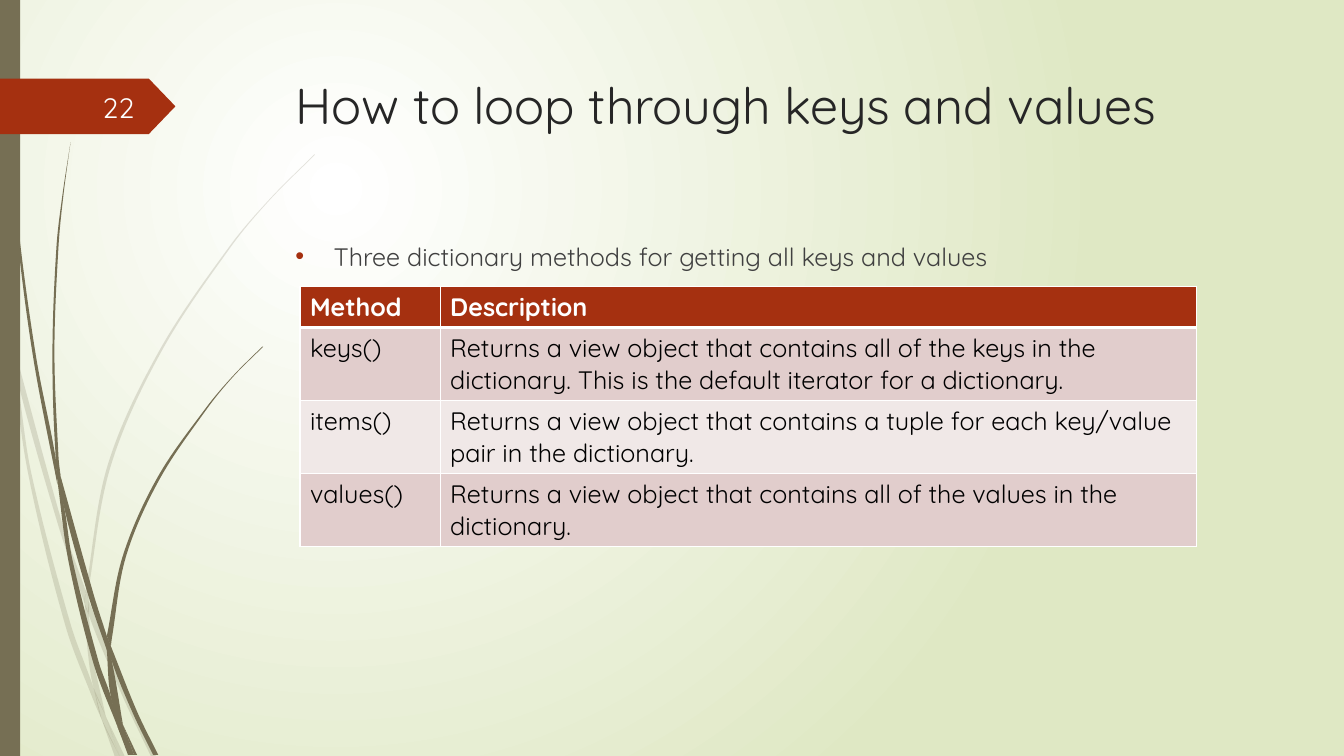
from dataclasses import dataclass
from math import dist

from lxml.etree import SubElement
from pptx import Presentation
from pptx.dml.color import RGBColor
from pptx.enum.shapes import MSO_SHAPE
from pptx.enum.text import MSO_ANCHOR, PP_ALIGN
from pptx.oxml.ns import qn
from pptx.util import Inches, Pt

# Grid of fine square cells; every length below counts columns or rows
CELL = Inches(0.01)
COLUMNS, ROWS = 1333, 750
FONT = "Quicksand"

WHITE = RGBColor(0xFF, 0xFF, 0xFF)
PALE_GREEN = RGBColor(0xDF, 0xE8, 0xC4)
OLIVE = RGBColor(0x76, 0x6F, 0x54)
RUST = RGBColor(0xA5, 0x30, 0x10)
TITLE_GREY = RGBColor(0x26, 0x26, 0x26)
BODY_GREY = RGBColor(0x40, 0x40, 0x40)
NUMBER_WHITE = RGBColor(0xFE, 0xFF, 0xFF)
BLACK = RGBColor(0x00, 0x00, 0x00)
PINK = RGBColor(0xE1, 0xCD, 0xCC)
PALE_PINK = RGBColor(0xF0, 0xE8, 0xE7)

Point = tuple[float, float]


@dataclass(frozen=True)
class Blade:
    """A piece of grass between two smooth edges, both listed from top to bottom."""
    left: list[Point]
    right: list[Point]


@dataclass(frozen=True)
class Label:
    text: str
    box: tuple[int, int, int, int]
    size: int
    color: RGBColor
    align: PP_ALIGN = PP_ALIGN.LEFT
    anchor: MSO_ANCHOR = MSO_ANCHOR.TOP


PALE_BLADES = [
    Blade([(0, 299), (10, 344), (11, 350)], [(0, 282), (9, 322), (11, 350)]),
    Blade([(14, 345), (17, 376), (58, 522), (84, 599)], [(14, 345), (62, 520), (85, 586)]),
    Blade([(88, 596), (88, 610), (123, 694), (150, 751)], [(88, 596), (127, 692), (155, 751)]),
    Blade([(105, 711), (119, 751)], [(105, 711), (124, 751)]),
    Blade([(11, 350), (28, 470), (65, 621), (92, 693), (101, 714)],
          [(11, 350), (17, 376), (31, 469), (70, 619), (93, 683), (101, 714)]),
    Blade([(84, 599), (87, 646), (93, 683), (105, 711)],
          [(84, 599), (88, 610), (91, 646), (105, 711)]),
    Blade([(312, 153), (268, 197), (228, 244), (158, 348), (107, 461), (85, 586)],
          [(312, 154), (268, 198), (229, 245), (160, 349), (110, 462), (88, 584), (88, 596)]),
    Blade([(101, 714), (114, 751)], [(101, 714), (119, 751)]),
    Blade([(85, 586), (84, 599), (88, 610)], [(85, 586), (88, 596), (88, 610)]),
    Blade([(93, 683), (101, 714), (119, 751)], [(93, 683), (105, 711), (119, 751)]),
]
DARK_BLADES = [
    Blade([(3, 0), (7, 110), (17, 233), (33, 355), (57, 481)],
          [(4, 0), (8, 109), (19, 232), (36, 355), (55, 453), (57, 481)]),
    Blade([(60, 472), (64, 505), (88, 592), (106, 645)], [(60, 472), (93, 590), (106, 631)]),
    Blade([(110, 641), (111, 656), (132, 708), (152, 749)],
          [(110, 641), (136, 706), (157, 749)]),
    Blade([(57, 477), (68, 557), (93, 659), (117, 722)],
          [(57, 477), (64, 505), (72, 556), (98, 657), (110, 691), (117, 722)]),
    Blade([(70, 141), (62, 193), (56, 245), (52, 349), (55, 449), (60, 472)],
          [(70, 141), (63, 193), (58, 245), (54, 349), (58, 453), (60, 472)]),
    Blade([(122, 719), (133, 749)], [(122, 719), (136, 749)]),
    Blade([(55, 449), (57, 477), (64, 505)], [(55, 449), (60, 472), (64, 505)]),
    Blade([(260, 344), (231, 373), (204, 405), (156, 474), (122, 551), (106, 631)],
          [(261, 344), (231, 374), (205, 406), (158, 476), (125, 552), (111, 633), (110, 641)]),
    Blade([(117, 722), (127, 749)], [(117, 722), (131, 749)]),
    Blade([(106, 645), (110, 691), (122, 719)], [(106, 645), (111, 656), (122, 719)]),
    Blade([(106, 631), (106, 645), (111, 656)], [(106, 631), (110, 641), (111, 656)]),
    Blade([(110, 691), (117, 722), (130, 749)], [(110, 691), (122, 719), (133, 749)]),
]

TITLE = Label("How to loop through keys and values", (283, 69, 975, 140), 36, TITLE_GREY)
BULLET = Label("Three dictionary methods for getting all keys and values",
               (283, 234, 975, 413), 18, BODY_GREY)
NUMBER = Label("22", (58, 86, 85, 40), 20, NUMBER_WHITE, PP_ALIGN.RIGHT, MSO_ANCHOR.MIDDLE)

TABLE_BOX = (297.5, 284, 889, 258.5)
TABLE_COLUMNS = [139, 750]
TABLE_ROWS = [41, 72.5, 72.5, 72.5]
METHODS = [
    ("Method", "Description"),
    ("keys()", "Returns a view object that contains all of the keys in the "
               "dictionary. This is the default iterator for a dictionary."),
    ("items()", "Returns a view object that contains a tuple for each key/value "
                "pair in the dictionary."),
    ("values()", "Returns a view object that contains all of the values in the dictionary."),
]


def cells(*counts: float) -> list[int]:
    return [round(count * CELL) for count in counts]


def paint(shape, color: RGBColor) -> None:
    shape.shadow.inherit = False
    shape.fill.solid()
    shape.fill.fore_color.rgb = color
    shape.line.fill.background()


def style(para, size: int, color: RGBColor, bold: bool = False) -> None:
    for span in para.runs:
        span.font.name, span.font.size, span.font.bold = FONT, Pt(size), bold
        span.font.color.rgb = color


def smooth(knots: list[Point]) -> list[Point]:
    """Two control points and an end point for each Bézier segment along the knots."""
    padded = [knots[0], *knots, knots[-1]]
    points = []
    for a, b, c, d in zip(padded, padded[1:], padded[2:], padded[3:]):
        reach = dist(b, c) / 3
        out = reach / (dist(a, b) + dist(b, c))
        back = reach / (dist(b, c) + dist(c, d))
        points += [(b[0] + (c[0] - a[0]) * out, b[1] + (c[1] - a[1]) * out),
                   (c[0] - (d[0] - b[0]) * back, c[1] - (d[1] - b[1]) * back), c]
    return points


def add_blade(page, blade: Blade, opacity: int) -> None:
    bridge = smooth([blade.left[-1], blade.right[-1]]) if blade.left[-1] != blade.right[-1] else []
    outline = smooth(blade.left) + bridge + smooth(blade.right[::-1])
    builder = page.shapes.build_freeform(*cells(*blade.left[0]))
    builder.add_line_segments([cells(*point) for point in outline], close=True)
    shape = builder.convert_to_shape()
    paint(shape, OLIVE)
    # Turn each run of three straight segments into one curve
    lines = list(shape.element.iter(qn("a:lnTo")))
    for trio in zip(lines[::3], lines[1::3], lines[2::3]):
        curve = trio[0].makeelement(qn("a:cubicBezTo"))
        trio[0].addprevious(curve)
        for line in trio:
            curve.append(line[0])
            line.getparent().remove(line)
    if opacity < 100:
        color = shape.element.spPr.find(qn("a:solidFill"))[0]
        SubElement(color, qn("a:alpha"), val=str(opacity * 1000))


def add_label(page, label: Label):
    frame = page.shapes.add_textbox(*cells(*label.box)).text_frame
    frame.word_wrap = True
    frame.vertical_anchor = label.anchor
    frame.text = label.text
    para = frame.paragraphs[0]
    para.alignment = label.align
    style(para, label.size, label.color)
    return para


def add_bullet(para, color: RGBColor, indent: int) -> None:
    properties = para._p.get_or_add_pPr()
    properties.set("marL", str(indent))
    properties.set("indent", str(-indent))
    SubElement(SubElement(properties, qn("a:buClr")), qn("a:srgbClr"), val=str(color))
    SubElement(properties, qn("a:buFont"), typeface="Arial")
    SubElement(properties, qn("a:buChar"), char="•")


def add_borders(cell, top: int, bottom: int) -> None:
    properties = cell._tc.get_or_add_tcPr()
    for side, width in (("L", 1), ("R", 1), ("T", top), ("B", bottom)):
        line = SubElement(properties, qn(f"a:ln{side}"), w=str(Pt(width)))
        SubElement(SubElement(line, qn("a:solidFill")), qn("a:srgbClr"), val=str(WHITE))


def add_method_table(page) -> None:
    table = page.shapes.add_table(len(METHODS), len(TABLE_COLUMNS), *cells(*TABLE_BOX)).table
    for column, width in zip(table.columns, cells(*TABLE_COLUMNS)):
        column.width = width
    for index, (row, height, texts) in enumerate(zip(table.rows, cells(*TABLE_ROWS), METHODS)):
        row.height = height
        header = index == 0
        fill = RUST if header else PINK if index % 2 else PALE_PINK
        for cell, text in zip(row.cells, texts):
            add_borders(cell, 3 if index == 1 else 1, 3 if header else 1)
            cell.fill.solid()
            cell.fill.fore_color.rgb = fill
            cell.text = text
            style(cell.text_frame.paragraphs[0], 18, WHITE if header else BLACK, header)


deck = Presentation()
deck.slide_width, deck.slide_height = cells(COLUMNS, ROWS)
page = deck.slides.add_slide(deck.slide_layouts[6])
# Background: radial gradient centred in the upper left quarter
page.background.fill.gradient()
for stop, color in zip(page.background.fill.gradient_stops, (WHITE, PALE_GREEN)):
    stop.color.rgb = color
gradient = page.element.find(".//" + qn("a:gradFill"))
gradient.remove(gradient.find(qn("a:lin")))
SubElement(SubElement(gradient, qn("a:path"), path="circle"), qn("a:fillToRect"),
           l="50000", t="50000", r="100000", b="100000")
# Grass, side bar and number tag
for blades, opacity in ((PALE_BLADES, 20), (DARK_BLADES, 100)):
    for blade in blades:
        add_blade(page, blade, opacity)
paint(page.shapes.add_shape(MSO_SHAPE.RECTANGLE, *cells(0, 0, 20, ROWS)), OLIVE)
tag = page.shapes.add_shape(MSO_SHAPE.PENTAGON, *cells(0, 78, 174, 55))
tag.adjustments[0] = 0.48
paint(tag, RUST)
# Text and table
add_label(page, TITLE)
bullet = add_label(page, BULLET)
bullet.space_before = Pt(10)
add_bullet(bullet, RUST, cells(38)[0])
add_label(page, NUMBER)
add_method_table(page)
deck.save("out.pptx")
